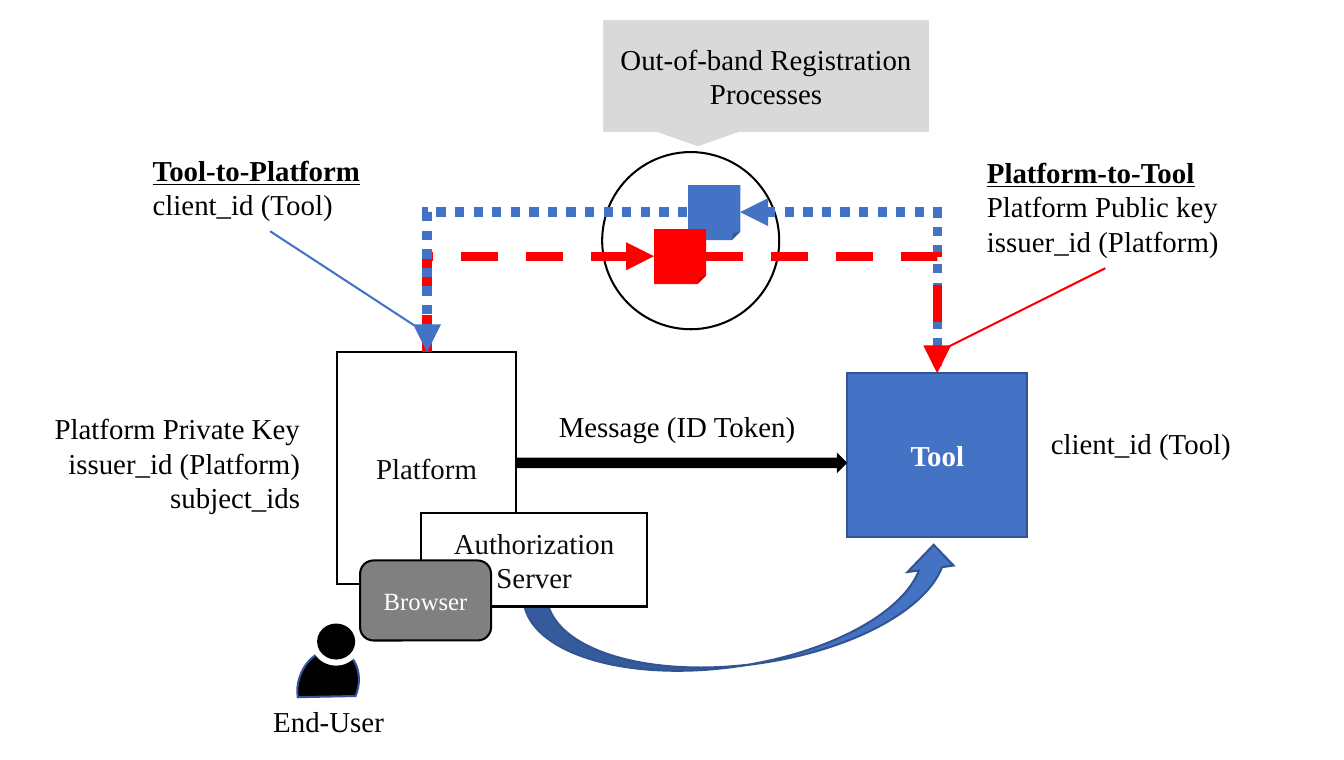
from pptx import Presentation
from pptx.dml.color import RGBColor
from pptx.enum.dml import MSO_LINE
from pptx.enum.shapes import MSO_CONNECTOR, MSO_SHAPE
from pptx.enum.text import MSO_ANCHOR, PP_ALIGN
from pptx.oxml.ns import qn
from pptx.util import Inches, Pt
from lxml import etree

SCALE = 914400 / 148.3
FONT = "Times New Roman"
LEFT, CENTER, RIGHT = PP_ALIGN.LEFT, PP_ALIGN.CENTER, PP_ALIGN.RIGHT
TOP, MIDDLE = MSO_ANCHOR.TOP, MSO_ANCHOR.MIDDLE
RECTANGLE, ELLIPSE = MSO_SHAPE.RECTANGLE, MSO_SHAPE.OVAL
FOLDED, CHORD = MSO_SHAPE.FOLDED_CORNER, MSO_SHAPE.CHORD
CURVED_ARROW, RIGHT_ARROW = MSO_SHAPE.CURVED_RIGHT_ARROW, MSO_SHAPE.RIGHT_ARROW
CALLOUT, ROUNDED = MSO_SHAPE.RECTANGULAR_CALLOUT, MSO_SHAPE.ROUNDED_RECTANGLE
STRAIGHT, ELBOW = MSO_CONNECTOR.STRAIGHT, MSO_CONNECTOR.ELBOW
DOTS, DASHES = MSO_LINE.ROUND_DOT, MSO_LINE.DASH
BLACK, WHITE, INK = "000000", "FFFFFF", "0D0D0D"
BLUE, NAVY, RED = "4472C4", "325491", "FF0000"
GRAY, LIGHT_GRAY = "808080", "D9D9D9"


def color(hex_value):
    return RGBColor.from_string(hex_value)


def write_text(shape, text, size=14, ink=BLACK, bold=False, heading=False,
               align=CENTER, anchor=MIDDLE, wrap=True):
    frame = shape.text_frame
    frame.word_wrap = wrap
    frame.vertical_anchor = anchor
    frame.text = text
    for index, paragraph in enumerate(frame.paragraphs):
        paragraph.alignment = align
        font = paragraph.runs[0].font
        font.name, font.size = FONT, Pt(size)
        font.color.rgb = color(ink)
        font.bold = bold or (heading and index == 0)
        font.underline = heading and index == 0


presentation = Presentation()
presentation.slide_width = Inches(9.06)
presentation.slide_height = Inches(5.12)
slide = presentation.slides.add_slide(presentation.slide_layouts[6])
end_user = slide.shapes.add_group_shape()

label = {"align": LEFT, "anchor": TOP}
heading_label = {"heading": True, **label}
caption = {"anchor": TOP, "wrap": False}

end_user_parts = [
    (CHORD, (291, 655, 74, 59), BLACK, NAVY, 113.2, "", {}),
    (ELLIPSE, (311, 616, 50, 49), WHITE, None, 0, "", {}),
    (ELLIPSE, (318, 624, 36, 34), BLACK, BLACK, 0, "", {}),
    (None, (258, 696, 141, 50), None, None, 0, "End-User", caption),
]
diagram_parts = [
    (ELLIPSE, (602, 152, 177, 177), WHITE, BLACK, 0, "", {}),
    (FOLDED, (688, 185, 52, 55), BLUE, None, 0, "", {}),
    (CURVED_ARROW, (700, 399, 93, 437), BLUE, NAVY, 262, "", {}),
    (RECTANGLE, (847, 373, 180, 164), BLUE, NAVY, 0, "Tool",
     {"ink": WHITE, "bold": True}),
    (RECTANGLE, (337, 352, 179, 232), WHITE, BLACK, 0, "Platform", {"ink": INK}),
    (RECTANGLE, (972, 147, 265, 120), WHITE, None, 0,
     "Platform-to-Tool\nPlatform Public key\nissuer_id (Platform)", heading_label),
    (RECTANGLE, (1036, 418, 248, 50), WHITE, None, 0, "client_id (Tool)", label),
    (RECTANGLE, (38, 403, 277, 120), WHITE, None, 0,
     "Platform Private Key issuer_id (Platform)\nsubject_ids",
     {"align": RIGHT, "anchor": TOP}),
    (FOLDED, (654, 229, 52, 55), RED, None, 0, "", {}),
    (RECTANGLE, (138, 145, 262, 85), WHITE, None, 0,
     "Tool-to-Platform\nclient_id (Tool)", heading_label),
    (CALLOUT, (602, 19, 328, 114), LIGHT_GRAY, WHITE, 0,
     "Out-of-band Registration Processes", {}),
    (RECTANGLE, (421, 513, 226, 93), WHITE, BLACK, 0, "Authorization Server",
     {"ink": INK}),
    (RIGHT_ARROW, (516, 452, 331, 21), BLACK, None, 0, "", {}),
    (None, (543, 401, 268, 50), None, None, 0, "Message (ID Token)", caption),
    (ROUNDED, (360, 560, 131, 80), GRAY, BLACK, 0, "Browser",
     {"size": 12, "ink": WHITE}),
]

for shapes, parts in ((end_user.shapes, end_user_parts),
                      (slide.shapes, diagram_parts)):
    for kind, box, fill, outline, rotation, text, text_format in parts:
        place = [round(value * SCALE) for value in box]
        if kind is None:
            shape = shapes.add_textbox(*place)
        else:
            shape = shapes.add_shape(kind, *place)
            shape.shadow.inherit = False
            shape.fill.solid()
            shape.fill.fore_color.rgb = color(fill)
            if outline:
                shape.line.color.rgb = color(outline)
                shape.line.width = Pt(1)
                border = shape._element.spPr.find(qn("a:ln"))
                etree.SubElement(border, qn("a:miter")).set("lim", "800000")
            else:
                shape.line.fill.background()
            shape.rotation = rotation
        if kind == CHORD:
            shape.adjustments[0] = 27
            shape.adjustments[1] = 161.09
        if text:
            write_text(shape, text, **text_format)

connections = [
    (ELBOW, (740, 212, 937, 372), BLUE, 4.5, DOTS, "headEnd"),
    (ELBOW, (654, 256, 427, 352), RED, 4.5, DASHES, "headEnd"),
    (STRAIGHT, (1105, 268, 937, 352), RED, 1, None, None),
    (STRAIGHT, (270, 231, 414, 325), BLUE, 1, None, None),
    (ELBOW, (687, 212, 427, 352), BLUE, 4.5, DOTS, "tailEnd"),
    (ELBOW, (706, 256, 937, 373), RED, 4.5, DASHES, "tailEnd"),
]
for kind, ends, ink, width, dash, arrow_end in connections:
    connector = slide.shapes.add_connector(
        kind, *[round(value * SCALE) for value in ends])
    connector.line.color.rgb = color(ink)
    connector.line.width = Pt(width)
    properties = connector._element.spPr
    if kind == ELBOW:
        properties.find(qn("a:prstGeom")).set("prst", "bentConnector2")
        connector.line.dash_style = dash
        stroke = properties.find(qn("a:ln"))
        etree.SubElement(stroke, qn("a:miter")).set("lim", "800000")
        etree.SubElement(stroke, qn(f"a:{arrow_end}")).set("type", "triangle")
    etree.SubElement(properties, qn("a:effectLst"))

presentation.save("out.pptx")
